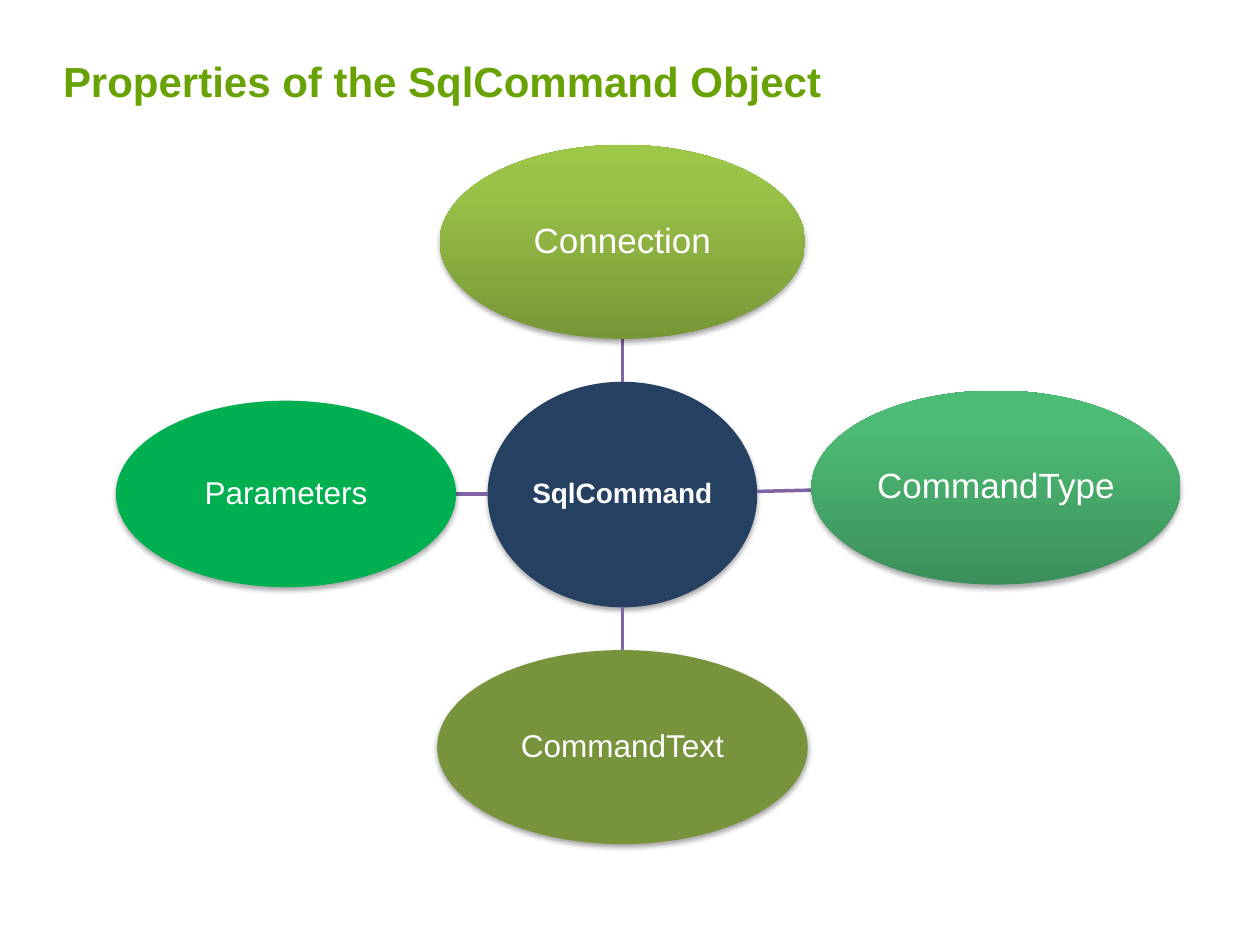
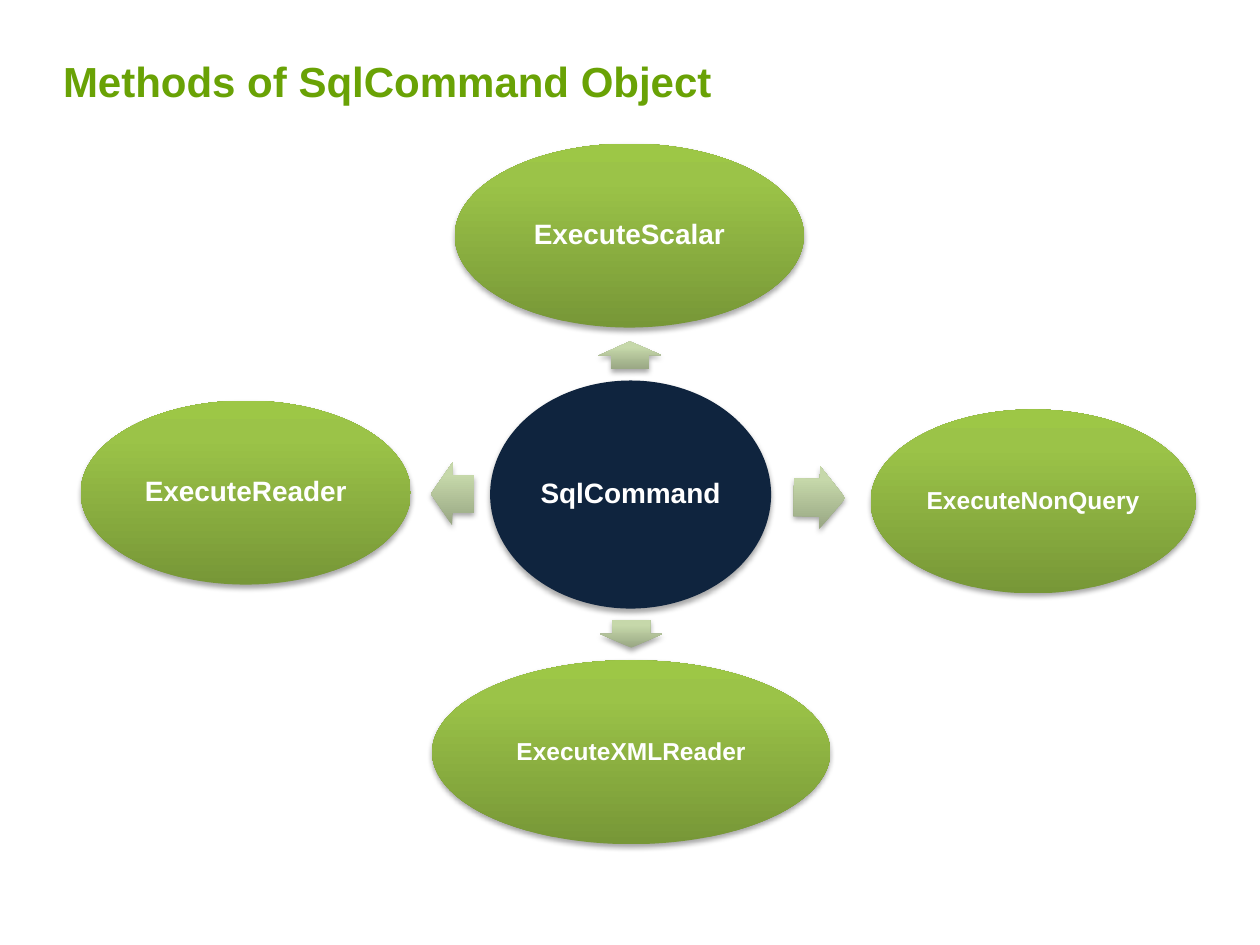
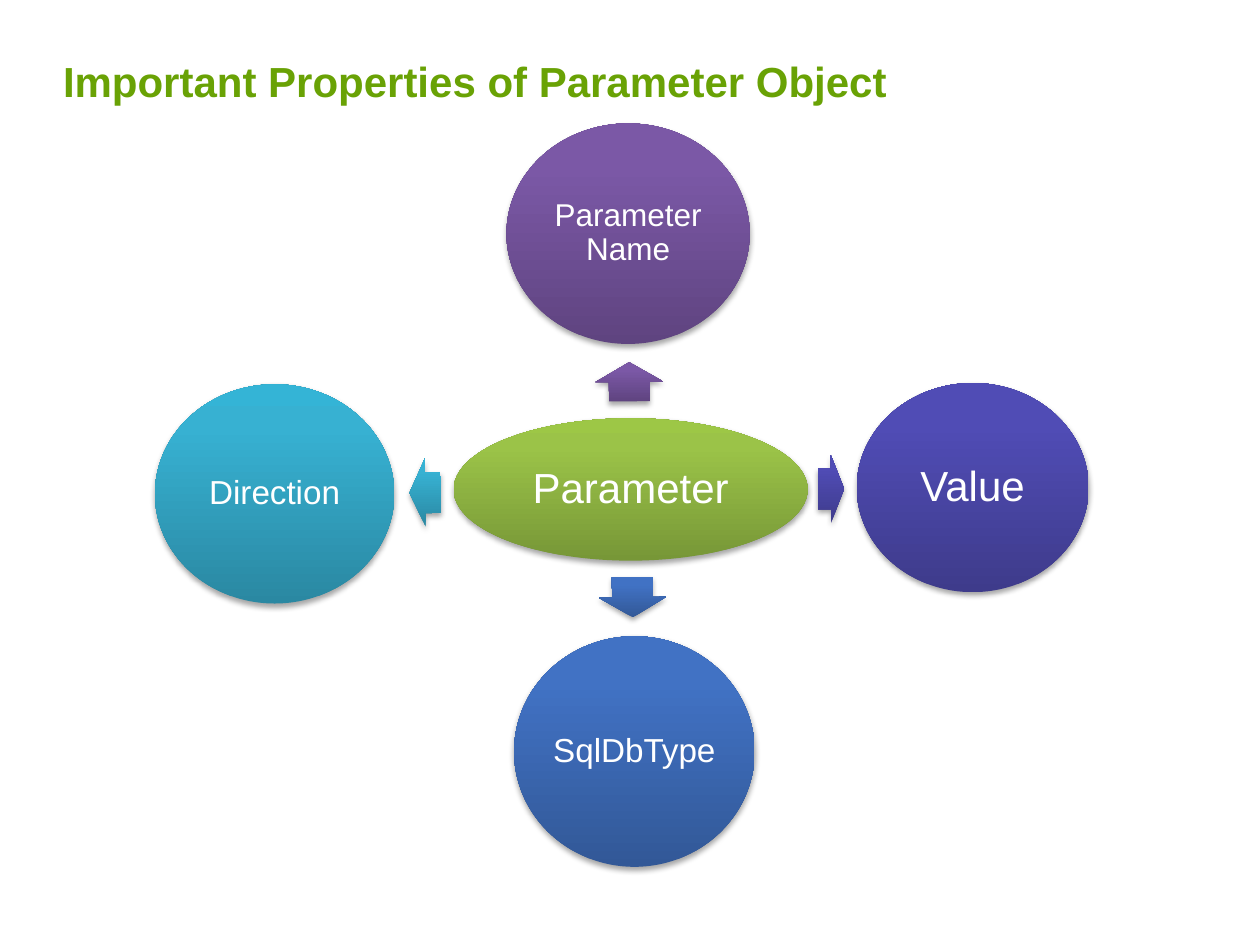
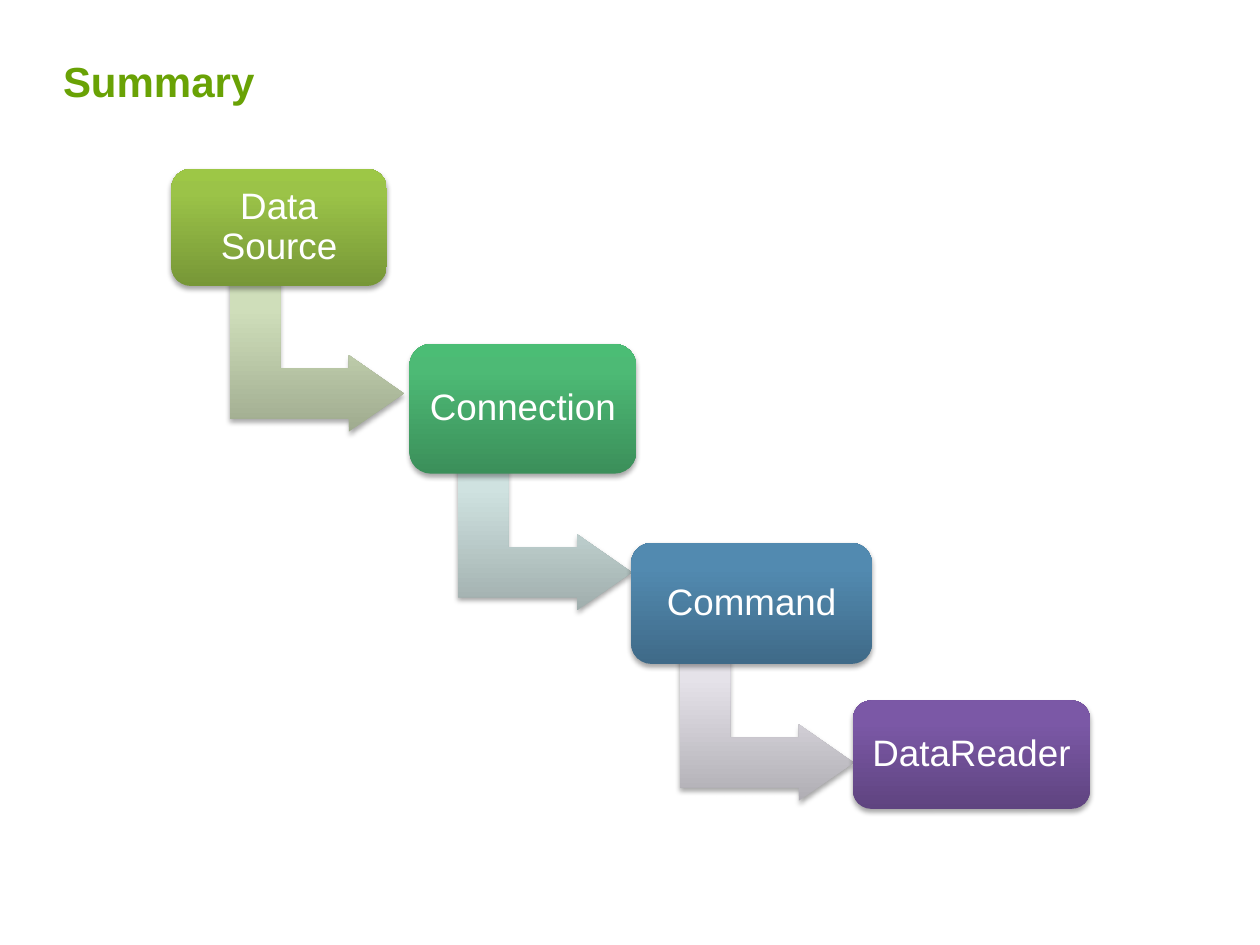
from dataclasses import dataclass

import lxml.etree
import pptx
import pptx.dml.color
import pptx.enum.shapes
import pptx.enum.text
import pptx.oxml.ns
import pptx.presentation
import pptx.shapes.autoshape
import pptx.slide
import pptx.util

Inches = pptx.util.Inches
Pt = pptx.util.Pt
ShapeType = pptx.enum.shapes.MSO_SHAPE
qn = pptx.oxml.ns.qn

Bounds = tuple[float, float, float, float]
Point = tuple[float, float]
Fill = tuple[str, ...]

FONT = "Arial"
WHITE = "FFFFFF"
TITLE_GREEN = "69A205"
LINE_PURPLE = "8064A2"
SHADOW_BLACK = "000000"
GRADIENT_POSITIONS = (0, 80, 100)

LIME: Fill = ("779737", "9BC348", "9DC746")
EMERALD: Fill = ("3B8F5A", "4DBA75", "4BBD75")
STEEL: Fill = ("3F6A88", "528AB0", "518BB3")
PURPLE: Fill = ("5F4480", "7B58A6", "7C57A8")
INDIGO: Fill = ("3E3B8B", "504CB5", "4F4BB8")
BLUE: Fill = ("325897", "4172C4", "3F72C7")
CYAN: Fill = ("2A88A2", "37B1D2", "34B4D6")
PALE_LIME: Fill = ("98A683", "C6D8AA", "C7DAAA")
PALE_GREEN: Fill = ("9FAB8F", "CFDEBA", "D0DFBA")
PALE_TEAL: Fill = ("A0AEAD", "CFE2E0", "D0E4E2")
PALE_LILAC: Fill = ("B0AEB4", "E5E2E9", "E6E3EB")


@dataclass(frozen=True)
class Node:
    text: str
    bounds: Bounds
    fill: Fill
    size: float
    bold: bool = False
    inset: float = 0.01
    kind: ShapeType = ShapeType.OVAL


@dataclass(frozen=True)
class Arrow:
    bounds: Bounds
    rotation: float
    fill: Fill
    kind: ShapeType = ShapeType.RIGHT_ARROW
    adjustments: tuple[float, ...] = (0.6, 0.5)


@dataclass(frozen=True)
class Link:
    start: Point
    end: Point


@dataclass(frozen=True)
class Diagram:
    title: str
    items: tuple[Node | Arrow | Link, ...]


def color(value: str) -> pptx.dml.color.RGBColor:
    return pptx.dml.color.RGBColor.from_string(value)


def add_color_element(parent: lxml.etree._Element, value: str) -> lxml.etree._Element:
    return lxml.etree.SubElement(parent, qn("a:srgbClr"), val=str(color(value)))


def apply_fill(shape: pptx.shapes.autoshape.Shape, fill: Fill) -> None:
    if len(fill) == 1:
        shape.fill.solid()
        shape.fill.fore_color.rgb = color(fill[0])
        return
    shape.fill.gradient()
    gradient = shape._element.spPr.find(qn("a:gradFill"))
    gradient.clear()
    gradient.set("rotWithShape", "0")
    stops = lxml.etree.SubElement(gradient, qn("a:gsLst"))
    for position, value in zip(GRADIENT_POSITIONS, fill):
        stop = lxml.etree.SubElement(stops, qn("a:gs"), pos=str(position * 1000))
        add_color_element(stop, value)
    lxml.etree.SubElement(gradient, qn("a:lin"), ang=str(270 * 60000), scaled="0")


def apply_shadow(shape: pptx.shapes.autoshape.Shape) -> None:
    shape.shadow.inherit = False
    effects = shape._element.spPr.find(qn("a:effectLst"))
    shadow = lxml.etree.SubElement(
        effects, qn("a:outerShdw"), blurRad=str(Pt(3.1)), dist=str(Pt(1.8)),
        dir=str(90 * 60000), rotWithShape="0")
    shadow_color = add_color_element(shadow, SHADOW_BLACK)
    lxml.etree.SubElement(shadow_color, qn("a:alpha"), val="35000")


def add_filled_shape(slide: pptx.slide.Slide, kind: ShapeType, bounds: Bounds,
                     fill: Fill) -> pptx.shapes.autoshape.Shape:
    shape = slide.shapes.add_shape(kind, *(Inches(length) for length in bounds))
    apply_fill(shape, fill)
    shape.line.fill.background()
    apply_shadow(shape)
    return shape


def format_font(font: pptx.text.text.Font, size: float, value: str, bold: bool) -> None:
    font.name = FONT
    font.size = Pt(size)
    font.bold = bold
    font.color.rgb = color(value)


def add_node(slide: pptx.slide.Slide, node: Node) -> None:
    shape = add_filled_shape(slide, node.kind, node.bounds, node.fill)
    frame = shape.text_frame
    frame.text = node.text
    frame.word_wrap = True
    frame.vertical_anchor = pptx.enum.text.MSO_ANCHOR.MIDDLE
    frame.margin_left = frame.margin_right = Inches(node.inset)
    frame.margin_top = frame.margin_bottom = Inches(node.inset)
    paragraph = frame.paragraphs[0]
    paragraph.alignment = pptx.enum.text.PP_ALIGN.CENTER
    paragraph.line_spacing = 0.9
    for run in paragraph.runs:
        format_font(run.font, node.size, WHITE, node.bold)


def add_arrow(slide: pptx.slide.Slide, arrow: Arrow) -> None:
    shape = add_filled_shape(slide, arrow.kind, arrow.bounds, arrow.fill)
    shape.rotation = arrow.rotation
    for index, value in enumerate(arrow.adjustments):
        shape.adjustments[index] = value


def add_link(slide: pptx.slide.Slide, link: Link) -> None:
    connector = slide.shapes.add_connector(
        pptx.enum.shapes.MSO_CONNECTOR.STRAIGHT,
        *(Inches(length) for length in link.start + link.end))
    connector.line.color.rgb = color(LINE_PURPLE)
    connector.line.width = Pt(2)
    lxml.etree.SubElement(connector._element.spPr, qn("a:effectLst"))


def set_title(slide: pptx.slide.Slide, text: str) -> None:
    title = slide.shapes.title
    title.left, title.top = Inches(0.5), Inches(0.02)
    title.width, title.height = Inches(9), Inches(0.87)
    frame = title.text_frame
    frame.text = text
    frame.word_wrap = True
    frame.auto_size = pptx.enum.text.MSO_AUTO_SIZE.NONE
    frame.vertical_anchor = pptx.enum.text.MSO_ANCHOR.BOTTOM
    frame.margin_left = frame.margin_right = frame.margin_top = 0
    frame.margin_bottom = Inches(0.05)
    paragraph = frame.paragraphs[0]
    paragraph.alignment = pptx.enum.text.PP_ALIGN.LEFT
    format_font(paragraph.runs[0].font, 24, TITLE_GREEN, True)


def add_diagram(presentation: pptx.presentation.Presentation, diagram: Diagram) -> None:
    slide = presentation.slides.add_slide(presentation.slide_layouts[5])
    set_title(slide, diagram.title)
    for item in diagram.items:
        if isinstance(item, Node):
            add_node(slide, item)
        elif isinstance(item, Arrow):
            add_arrow(slide, item)
        else:
            add_link(slide, item)


def method(text: str, bounds: Bounds, size: float, fill: Fill = LIME) -> Node:
    return Node(text, bounds, fill, size, bold=True, inset=0.02)


def parameter(text: str, bounds: Bounds, size: float, fill: Fill) -> Node:
    return Node(text, bounds, fill, size, inset=0.03)


def step(text: str, bounds: Bounds, fill: Fill) -> Node:
    return Node(text, bounds, fill, 21, inset=0.09, kind=ShapeType.ROUNDED_RECTANGLE)


def step_arrow(left: float, top: float, fill: Fill) -> Arrow:
    return Arrow((left, top, 1.21, 1.38), 90, fill,
                 ShapeType.BENT_UP_ARROW, (0.33, 0.25, 0.36))


DIAGRAMS = (
    Diagram("Properties of the SqlCommand Object", (
        Node("SqlCommand", (3.87, 3.03, 2.14, 1.79), ("254061",), 16, bold=True),
        Link((4.94, 3.03), (4.94, 2.69)),
        Node("Connection", (3.49, 1.15, 2.9, 1.54), LIME, 20),
        Link((6.01, 3.9), (6.44, 3.89)),
        Node("CommandType", (6.44, 3.1, 2.93, 1.54), EMERALD, 20),
        Link((4.94, 4.82), (4.94, 5.16)),
        Node("CommandText", (3.47, 5.16, 2.94, 1.54), ("77933C",), 18),
        Link((3.87, 3.92), (3.62, 3.92)),
        Node("Parameters", (0.92, 3.18, 2.7, 1.48), ("00B050",), 18),
    )),
    Diagram("Methods of SqlCommand Object", (
        method("SqlCommand", (3.89, 3.02, 2.23, 1.81), 16, ("0F243E",)),
        Arrow((4.89, 2.57, 0.22, 0.5), 269.6, PALE_LIME),
        method("ExecuteScalar", (3.61, 1.14, 2.77, 1.46), 16),
        Arrow((6.3, 3.7, 0.41, 0.5), 1, PALE_LIME),
        method("ExecuteNonQuery", (6.91, 3.25, 2.58, 1.46), 14),
        Arrow((4.9, 4.78, 0.22, 0.5), 90, PALE_LIME),
        method("ExecuteXMLReader", (3.43, 5.24, 3.16, 1.46), 14),
        Arrow((3.42, 3.67, 0.34, 0.5), 180.3, PALE_LIME),
        method("ExecuteReader", (0.64, 3.18, 2.62, 1.46), 16),
    )),
    Diagram("Important Properties of Parameter Object", (
        parameter("Parameter", (3.6, 3.32, 2.81, 1.13), 24, LIME),
        Arrow((4.84, 2.76, 0.31, 0.54), 269.5, PURPLE),
        parameter("Parameter\vName", (4.02, 0.98, 1.93, 1.75), 18, PURPLE),
        Arrow((6.49, 3.61, 0.21, 0.54), 359.7, INDIGO),
        parameter("Value", (6.8, 3.04, 1.84, 1.66), 24, INDIGO),
        Arrow((4.86, 4.47, 0.32, 0.54), 89.1, BLUE),
        parameter("SqlDbType", (4.08, 5.05, 1.91, 1.83), 19, BLUE),
        Arrow((3.25, 3.64, 0.25, 0.54), 179.3, CYAN),
        parameter("Direction", (1.23, 3.05, 1.9, 1.74), 19, CYAN),
    )),
    Diagram("Summary", (
        step_arrow(1.91, 2.13, PALE_GREEN),
        step("Data Source", (1.36, 1.34, 1.71, 0.93), LIME),
        step_arrow(3.72, 3.55, PALE_TEAL),
        step("Connection", (3.25, 2.73, 1.8, 1.03), EMERALD),
        step_arrow(5.48, 5.06, PALE_LILAC),
        step("Command", (5.01, 4.31, 1.91, 0.96), STEEL),
        step("DataReader", (6.77, 5.56, 1.88, 0.86), PURPLE),
    )),
)


def main() -> None:
    presentation = pptx.Presentation()
    presentation.slide_width = Inches(10)
    presentation.slide_height = Inches(7.5)
    for diagram in DIAGRAMS:
        add_diagram(presentation, diagram)
    presentation.save("out.pptx")


main()
